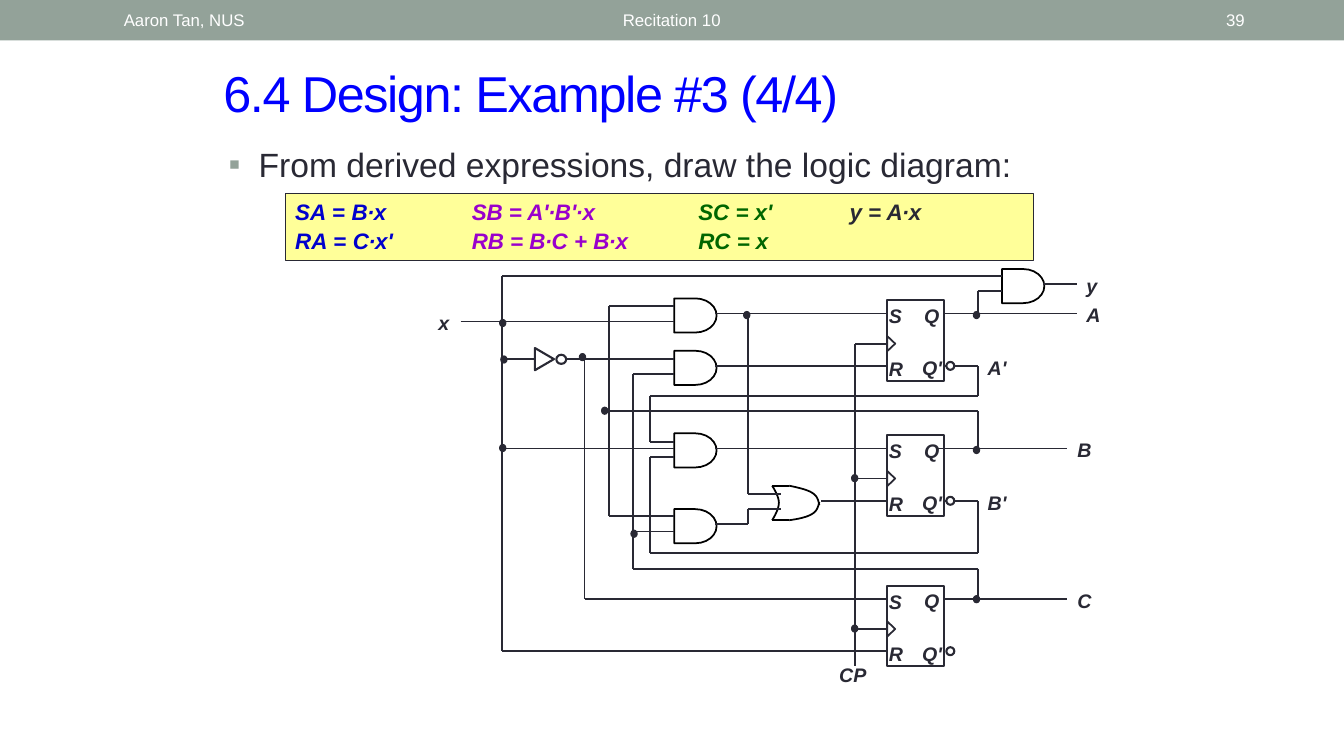
from dataclasses import dataclass
from itertools import pairwise
from typing import Any, Optional

from lxml.etree import SubElement
from pptx import Presentation
from pptx.dml.color import RGBColor
from pptx.enum.shapes import MSO_CONNECTOR, MSO_SHAPE
from pptx.enum.text import MSO_ANCHOR, PP_ALIGN
from pptx.oxml.ns import qn
from pptx.util import Cm, Pt

INK = RGBColor(0x29, 0x29, 0x34)
BLACK = RGBColor(0, 0, 0)
WHITE = RGBColor(0xFF, 0xFF, 0xFF)
SAGE = RGBColor(0x93, 0xA2, 0x99)
TITLE_BLUE = RGBColor(0, 0, 0xFF)
YELLOW = RGBColor(0xFF, 0xFF, 0x99)
BLUE = RGBColor(0, 0, 0xCC)
PURPLE = RGBColor(0x99, 0, 0xCC)
GREEN = RGBColor(0, 0x66, 0)

HEADER_FONT = {"name": "Arial", "size": Pt(12)}
TITLE_FONT = {"name": "Arial", "size": Pt(36)}
BODY_FONT = {"name": "Arial", "size": Pt(24)}
EXPRESSION_FONT = {"name": "Arial", "size": Pt(16), "bold": True, "italic": True}
LABEL_FONT = {"name": "Arial", "size": Pt(14), "bold": True, "italic": True}

Point = tuple[float, float]


@dataclass(frozen=True)
class Box:
    left: float
    top: float
    width: float
    height: float

    def lengths(self) -> list[Cm]:
        return [Cm(v) for v in (self.left, self.top, self.width, self.height)]


@dataclass(frozen=True)
class Caption:
    text: str
    box: Box
    font: dict[str, Any]
    color: RGBColor
    align: PP_ALIGN = PP_ALIGN.LEFT
    anchor: MSO_ANCHOR = MSO_ANCHOR.MIDDLE
    wrap: bool = True


@dataclass(frozen=True)
class Label:
    text: str
    left: float
    top: float
    width: float


@dataclass(frozen=True)
class Wire:
    route: tuple[Point, ...]
    color: RGBColor = INK


HEADER = [
    Caption("Recitation 10", Box(7.67, 0.05, 18.52, 0.91), HEADER_FONT, WHITE, PP_ALIGN.CENTER),
    Caption("Aaron Tan, NUS", Box(2.87, 0.05, 8.05, 0.91), HEADER_FONT, WHITE),
    Caption("39", Box(29.21, 0.05, 2.41, 0.91), HEADER_FONT, WHITE, PP_ALIGN.RIGHT),
]
TITLE = Caption("6.4 Design: Example #3 (4/4)", Box(5.38, 1.45, 23.39, 1.78), TITLE_FONT, TITLE_BLUE)
LEAD = Caption("From derived expressions, draw the logic diagram:", Box(5.51, 3.51, 22.86, 13.64),
               BODY_FONT, INK, anchor=MSO_ANCHOR.TOP)

EXPRESSIONS = [
    [("SA", BLUE, True), (" = ", BLUE, False), ("B∙x\t", BLUE, True),
     ("SB = A'∙B'∙x\t", PURPLE, True), ("SC = x'\t", GREEN, True), ("y = A∙x", INK, True)],
    [("RA", BLUE, True), (" = ", BLUE, False), ("C∙x'\t", BLUE, True),
     ("RB = B∙C + B∙x\t", PURPLE, True), ("RC = x", GREEN, True)],
]
TAB_STOPS = [4.45, 10.16, 13.97]

FLIP_FLOP_LEFT = 22.35
FLIP_FLOP_TOPS = [7.57, 10.97, 14.76]
PINS = [Label("S", -0.2, -0.03, 0.84), Label("Q", 0.69, -0.04, 0.89),
        Label("Q'", 0.64, 1.28, 1.04), Label("R", -0.2, 1.3, 0.86)]
SIGNALS = [
    Label("x", 10.8, 7.72, 0.79), Label("y", 27.13, 6.78, 0.79), Label("A", 27.13, 7.52, 0.81),
    Label("A'", 24.64, 8.84, 0.99), Label("B", 26.9, 10.92, 0.86), Label("B'", 24.64, 12.24, 0.99),
    Label("C", 26.9, 14.71, 0.86), Label("CP", 20.9, 16.59, 1.19),
]

AND_GATES = [(16.99, 7.52), (16.99, 8.84), (16.99, 10.92), (16.99, 12.83), (25.25, 6.78)]
OR_CURVES = [
    [(19.46, 12.24), (19.56, 12.4), (19.63, 12.55), (19.63, 12.67), (19.63, 12.83), (19.51, 13.03), (19.46, 13.11)],
    [(19.89, 12.24), (20.12, 12.29), (20.35, 12.34), (20.47, 12.42), (20.6, 12.5), (20.62, 12.6), (20.65, 12.73)],
    [(19.89, 13.11), (20.12, 13.08), (20.35, 13.03), (20.47, 12.95), (20.6, 12.88), (20.62, 12.75), (20.65, 12.65)],
]
WIRES = [
    Wire(((19.46, 12.24), (19.89, 12.24)), BLACK),
    Wire(((19.46, 13.11), (19.89, 13.11)), BLACK),
    Wire(((25.25, 6.96), (12.65, 6.96), (12.65, 16.41), (22.35, 16.41))),
    Wire(((11.61, 8.1), (16.99, 8.1))),
    Wire(((12.65, 9.04), (13.49, 9.04))),
    Wire(((14.3, 9.04), (16.99, 9.04))),
    Wire(((14.73, 9.04), (14.73, 15.09), (22.35, 15.09))),
    Wire(((12.65, 11.3), (16.99, 11.3))),
    Wire(((16.99, 7.72), (15.34, 7.72), (15.34, 13.0), (16.99, 13.0))),
    Wire(((16.99, 9.42), (15.95, 9.42), (15.95, 14.33), (24.64, 14.33), (24.64, 15.09))),
    Wire(((15.95, 13.39), (16.99, 13.39))),
    Wire(((15.34, 10.36), (24.64, 10.36), (24.64, 11.3))),
    Wire(((16.99, 11.13), (16.38, 11.13), (16.38, 9.98), (24.64, 9.98), (24.64, 9.22), (23.8, 9.22))),
    Wire(((16.99, 11.51), (16.38, 11.51), (16.38, 13.94), (24.64, 13.94), (24.64, 12.62), (23.8, 12.62))),
    Wire(((18.03, 7.9), (22.35, 7.9))),
    Wire(((18.03, 9.22), (22.35, 9.22))),
    Wire(((18.03, 11.3), (22.35, 11.3))),
    Wire(((18.85, 7.9), (18.85, 12.45), (19.69, 12.45))),
    Wire(((18.03, 13.21), (18.85, 13.21), (18.85, 12.83), (19.69, 12.83))),
    Wire(((20.7, 12.62), (22.35, 12.62))),
    Wire(((23.8, 7.9), (27.13, 7.9))),
    Wire(((24.64, 7.9), (24.64, 7.34), (25.25, 7.34))),
    Wire(((26.29, 7.16), (27.13, 7.16))),
    Wire(((23.6, 11.3), (26.9, 11.3))),
    Wire(((23.8, 15.09), (26.9, 15.09))),
    Wire(((22.35, 8.66), (21.54, 8.66), (21.54, 16.79))),
    Wire(((21.54, 12.06), (22.35, 12.06))),
    Wire(((21.54, 15.85), (22.35, 15.85))),
]
JUNCTIONS = [
    (12.67, 8.14), (12.7, 9.06), (12.67, 11.29), (14.68, 9.0), (15.24, 10.35), (15.98, 13.45),
    (18.82, 7.94), (24.61, 7.94), (24.61, 11.34), (24.61, 15.1), (21.54, 12.05), (21.54, 15.84),
]


def apply(target: Any, formats: dict[str, Any]) -> None:
    for name, value in formats.items():
        setattr(target, name, value)


def style(shape: Any, fill: Optional[RGBColor], line: Optional[RGBColor], width: float) -> None:
    shape.shadow.inherit = False
    if fill is None:
        shape.fill.background()
    else:
        shape.fill.solid()
        shape.fill.fore_color.rgb = fill
    if line is None:
        shape.line.fill.background()
    else:
        shape.line.color.rgb = line
        shape.line.width = Pt(width)


def draw_shape(shapes: Any, kind: MSO_SHAPE, box: Box, fill: Optional[RGBColor] = None,
               line: Optional[RGBColor] = INK, width: float = 1.5, rotation: float = 0) -> Any:
    shape = shapes.add_shape(kind, *box.lengths())
    shape.rotation = rotation
    style(shape, fill, line, width)
    return shape


def draw_caption(shapes: Any, caption: Caption) -> Any:
    frame = shapes.add_textbox(*caption.box.lengths()).text_frame
    apply(frame, {"word_wrap": caption.wrap, "vertical_anchor": caption.anchor})
    paragraph = frame.paragraphs[0]
    paragraph.alignment = caption.align
    run = paragraph.add_run()
    run.text = caption.text
    apply(run.font, caption.font)
    run.font.color.rgb = caption.color
    return paragraph


def draw_label(shapes: Any, label: Label, left: float = 0, top: float = 0) -> None:
    box = Box(left + label.left, top + label.top, label.width, 0.84)
    draw_caption(shapes, Caption(label.text, box, LABEL_FONT, INK, anchor=MSO_ANCHOR.TOP, wrap=False))


def draw_wire(shapes: Any, wire: Wire) -> None:
    for start, end in pairwise(wire.route):
        segment = shapes.add_connector(MSO_CONNECTOR.STRAIGHT, *(Cm(v) for v in start + end))
        apply(segment.line, {"width": Pt(1.25)})
        segment.line.color.rgb = wire.color
        SubElement(segment._element.spPr, qn("a:effectLst"))


def bezier(points: list[Point], t: float) -> Point:
    weights = ((1 - t) ** 3, 3 * t * (1 - t) ** 2, 3 * t * t * (1 - t), t ** 3)
    x, y = (sum(w * p[axis] for w, p in zip(weights, points)) for axis in (0, 1))
    return Cm(x), Cm(y)


def draw_curve(shapes: Any, points: list[Point]) -> None:
    outline = [bezier(points[i:i + 4], step / 8) for i in (0, 3) for step in range(9)]
    builder = shapes.build_freeform(*outline[0])
    builder.add_line_segments(outline[1:], close=False)
    style(builder.convert_to_shape(), None, BLACK, 1.25)


def draw_flip_flop(shapes: Any, top: float) -> None:
    left = FLIP_FLOP_LEFT
    draw_shape(shapes, MSO_SHAPE.RECTANGLE, Box(left, top, 1.45, 2.03))
    draw_shape(shapes, MSO_SHAPE.ISOSCELES_TRIANGLE, Box(left - 0.08, top + 0.99, 0.38, 0.2), width=1.25, rotation=90)
    for pin in PINS:
        draw_label(shapes, pin, left, top)
    draw_shape(shapes, MSO_SHAPE.OVAL, Box(left + 1.5, top + 1.55, 0.2, 0.2), WHITE)


def draw_lead(shapes: Any) -> None:
    properties = draw_caption(shapes, LEAD)._p.get_or_add_pPr()
    properties.set("marL", str(Cm(0.76)))
    properties.set("indent", str(-Cm(0.76)))
    SubElement(SubElement(properties, qn("a:buClr")), qn("a:srgbClr"), val=str(SAGE))
    SubElement(properties, qn("a:buFont"), typeface="Arial")
    SubElement(properties, qn("a:buChar"), char="▪")


def draw_expressions(shapes: Any) -> None:
    panel = draw_shape(shapes, MSO_SHAPE.RECTANGLE, Box(7.19, 4.88, 18.85, 1.68), YELLOW, width=0.75)
    frame = panel.text_frame
    apply(frame, {"word_wrap": True, "vertical_anchor": MSO_ANCHOR.TOP})
    for row, terms in enumerate(EXPRESSIONS):
        paragraph = frame.add_paragraph() if row else frame.paragraphs[0]
        tabs = SubElement(paragraph._p.get_or_add_pPr(), qn("a:tabLst"))
        for stop in TAB_STOPS:
            SubElement(tabs, qn("a:tab"), pos=str(Cm(stop)), algn="l")
        apply(paragraph, {"alignment": PP_ALIGN.LEFT, "space_before": Pt(row)})
        for text, color, italic in terms:
            run = paragraph.add_run()
            run.text = text
            apply(run.font, EXPRESSION_FONT | {"italic": italic})
            run.font.color.rgb = color


def draw_diagram(shapes: Any) -> None:
    for left, top in AND_GATES:
        draw_shape(shapes, MSO_SHAPE.FLOWCHART_DELAY, Box(left, top, 1.07, 0.86), line=BLACK, width=1.25)
    for curve in OR_CURVES:
        draw_curve(shapes, curve)
    for wire in WIRES:
        draw_wire(shapes, wire)
    for x, y in JUNCTIONS:
        draw_shape(shapes, MSO_SHAPE.OVAL, Box(x - 0.08, y - 0.09, 0.16, 0.18), INK, width=0.75)
    draw_shape(shapes, MSO_SHAPE.FLOWCHART_EXTRACT, Box(13.44, 8.81, 0.56, 0.48), rotation=90)
    draw_shape(shapes, MSO_SHAPE.OVAL, Box(14.02, 8.94, 0.25, 0.23))
    for top in FLIP_FLOP_TOPS:
        draw_flip_flop(shapes, top)
    for signal in SIGNALS:
        draw_label(shapes, signal)


def main() -> None:
    deck = Presentation()
    apply(deck, {"slide_width": Cm(33.87), "slide_height": Cm(19.05)})
    shapes = deck.slides.add_slide(deck.slide_layouts[6]).shapes
    draw_shape(shapes, MSO_SHAPE.RECTANGLE, Box(0, 0, 33.87, 1.02), SAGE, None)
    title = draw_caption(shapes, TITLE)
    title.runs[0]._r.get_or_add_rPr().set("spc", "-100")
    draw_lead(shapes)
    draw_expressions(shapes)
    draw_diagram(shapes)
    for caption in HEADER:
        draw_caption(shapes, caption)
    deck.save("out.pptx")


if __name__ == "__main__":
    main()
